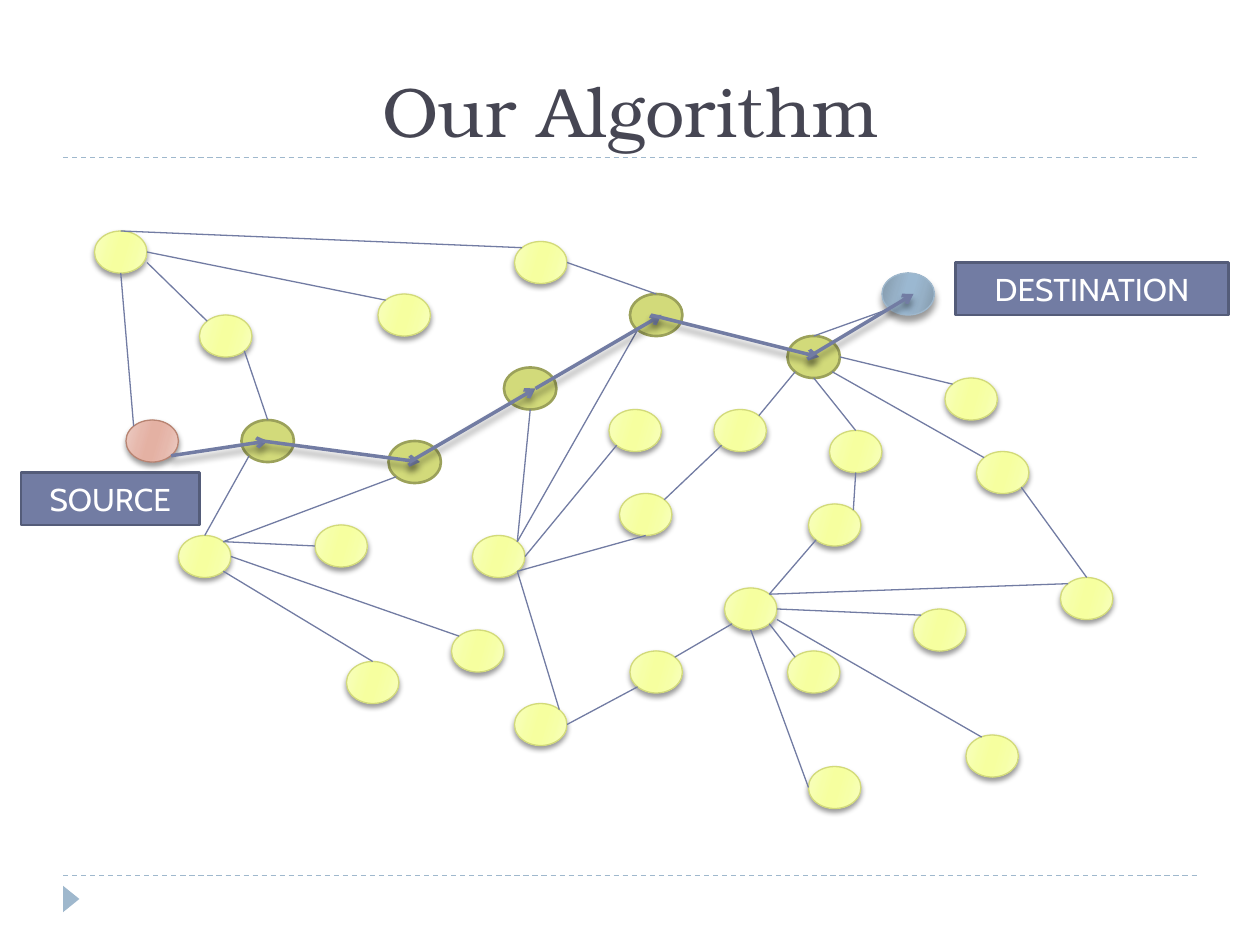
from lxml import etree
from pptx import Presentation
from pptx.dml.color import RGBColor
from pptx.enum.dml import MSO_LINE
from pptx.enum.shapes import MSO_CONNECTOR, MSO_SHAPE
from pptx.enum.text import MSO_ANCHOR, PP_ALIGN
from pptx.oxml import parse_xml
from pptx.oxml.ns import nsdecls, qn
from pptx.util import Inches, Pt

OVAL, BOX, TRIANGLE = MSO_SHAPE.OVAL, MSO_SHAPE.RECTANGLE, MSO_SHAPE.ISOSCELES_TRIANGLE
STRAIGHT, DASH = MSO_CONNECTOR.STRAIGHT, MSO_LINE.DASH
CENTER, MIDDLE, BOTTOM = PP_ALIGN.CENTER, MSO_ANCHOR.MIDDLE, MSO_ANCHOR.BOTTOM

COLORS = {"title": "464653", "rule": "9FB8CD", "edge": "727CA3", "label line": "545C79",
          "route": "D2DA7A", "route line": "9BA15A", "white": "FFFFFF"}
RGB = {name: RGBColor.from_string(value) for name, value in COLORS.items()}

# Gradient outer, middle and inner colour, outline, shadow blur and distance
NODE_STYLES = {
    "plain": ("F8FEC2", "F6FFA7", "F6FF9F", "D2DA7A", 3, 2),
    "source": ("ECCEC6", "E6B8AC", "E4B1A3", "B88472", 3, 2),
    "destination": ("8297A8", "96B0C6", "9BB8D1", "9FB8CD", 4, 3.4),
}

CELL = Inches(1) / 12  # the slide is a grid of 120 columns by 90 rows
NODE_W, NODE_H = 5, 4


def add_line(start, end, color, width):
    points = [int(value * CELL) for value in (*start, *end)]
    line = page.shapes.add_connector(STRAIGHT, *points)
    line.line.color.rgb = RGB[color]
    line.line.width = Pt(width)
    etree.SubElement(line._element.spPr, qn("a:effectLst"))
    return line


def add_shadow(shape, blur, distance):
    effects = shape._element.spPr.find(qn("a:effectLst"))
    effects.append(parse_xml(
        f'<a:outerShdw {nsdecls("a")} blurRad="{Pt(blur)}" dist="{Pt(distance)}" dir="5400000" '
        'rotWithShape="0"><a:srgbClr val="000000"><a:alpha val="40000"/></a:srgbClr></a:outerShdw>'))


deck = Presentation()
deck.slide_width, deck.slide_height = int(120 * CELL), int(90 * CELL)
page = deck.slides.add_slide(deck.slide_layouts[5])

# Title
title = page.shapes.title
title.left, title.top, title.width, title.height = [int(v * CELL) for v in (6, 3, 108, 12)]
title.text_frame.text = "Our Algorithm"
title.text_frame.vertical_anchor = BOTTOM
para = title.text_frame.paragraphs[0]
para.alignment = CENTER
para.font.name, para.font.size = "TeX Gyre Bonum", Pt(40)
para.font.color.rgb = RGB["title"]

# Dashed rules and footer marker
for row in (83.4, 15):
    add_line((6, row), (114, row), "rule", 0.75).line.dash_style = DASH
marker = page.shapes.add_shape(TRIANGLE, Inches(0.46), Inches(7.07), Inches(0.21), Inches(0.13))
marker.rotation = 90
marker.shadow.inherit = False
marker.fill.solid()
marker.fill.fore_color.rgb = RGB["rule"]
marker.line.fill.background()

# Network nodes: column and row of the top left corner; P1 to P5 lie on the route
NODES = {
    "A": (9, 22), "B": (19, 30), "C": (36, 28), "E": (49, 23), "F": (17, 51), "G": (30, 50),
    "H": (33, 63), "I": (43, 60), "J": (45, 51), "K": (58, 39), "L": (59, 47), "M": (68, 39),
    "N": (79, 41), "O": (77, 48), "Q": (69, 56), "R": (60, 62), "T": (49, 67), "U": (75, 62),
    "V": (77, 73), "W": (92, 70), "X": (87, 58), "Y": (101, 55), "Z": (93, 43), "AA": (90, 36),
    "Source": (12, 40), "Destination": (84, 26),
    "P1": (23, 40), "P2": (37, 42), "P3": (48, 35), "P4": (60, 28), "P5": (75, 32),
}
for name, (column, row) in NODES.items():
    node = page.shapes.add_shape(OVAL, *[int(v * CELL) for v in (column, row, NODE_W, NODE_H)])
    node.shadow.inherit = False
    if name.startswith("P"):
        node.fill.solid()
        node.fill.fore_color.rgb = RGB["route"]
        node.line.color.rgb = RGB["route line"]
        node.line.width = Pt(1.5)
        continue
    outer, middle, inner, outline, blur, distance = NODE_STYLES.get(
        name.lower(), NODE_STYLES["plain"])
    node.line.color.rgb = RGBColor.from_string(outline)
    node.line.width = Pt(0.75)
    stops = zip((0, 30, 45, 55, 73, 100), (outer, middle, inner, inner, middle, outer))
    stop_xml = "".join(f'<a:gs pos="{share * 1000}"><a:srgbClr val="{color}"/></a:gs>'
                       for share, color in stops)
    node._element.spPr.insert(2, parse_xml(
        f'<a:gradFill {nsdecls("a")} rotWithShape="1"><a:gsLst>{stop_xml}</a:gsLst>'
        '<a:lin ang="960000" scaled="0"/></a:gradFill>'))
    add_shadow(node, blur, distance)

# Edges: node and compass point at each end, as offsets from the node's centre
SITES = {"N": (0, -2), "S": (0, 2), "W": (-2.5, 0), "E": (2.5, 0),
         "NW": (-1.77, -1.41), "NE": (1.77, -1.41), "SW": (-1.77, 1.41), "SE": (1.77, 1.41),
         "ESE": (2.5, 1), "NNW": (-1, -1.8)}
EDGES = """
A.S Source.NW, A.ESE B.NW, A.E C.NW, A.N E.NW, B.SE P1.N, E.E P4.N,
F.N P1.SW, F.NE G.W, F.SE H.N, F.E I.NW, F.NE P2.SW, P2.NE P3.SW,
J.NE P3.S, J.E K.SW, J.SE L.S, J.SE T.NE, J.NE P4.SW, L.NE M.SW, T.E R.SW,
P5.N Destination.SW, P5.SW M.NE, P5.S N.N, P5.E AA.NW, P5.SE Z.NW, N.S O.NE, Z.SE Y.N,
Q.NE O.SW, Q.SW R.NE, Q.S V.W, Q.SE U.NW, Q.E X.NW, Q.ESE W.NNW, Q.NE Y.NW
"""
for edge in EDGES.split(","):
    ends = []
    for end in edge.split():
        name, site = end.split(".")
        (column, row), (across, down) = NODES[name], SITES[site]
        ends.append((column + NODE_W / 2 + across, row + NODE_H / 2 + down))
    add_line(*ends, "edge", 0.75)

# Labels
for text, column, row, width in (("SOURCE", 2, 45, 17), ("DESTINATION", 91, 25, 26)):
    label = page.shapes.add_shape(BOX, *[int(v * CELL) for v in (column, row, width, 5)])
    label.shadow.inherit = False
    label.fill.solid()
    label.fill.fore_color.rgb = RGB["edge"]
    label.line.color.rgb = RGB["label line"]
    label.line.width = Pt(1.5)
    label.text_frame.text = text
    label.text_frame.vertical_anchor = MIDDLE
    para = label.text_frame.paragraphs[0]
    para.alignment = CENTER
    para.font.name, para.font.size = "Cabin", Pt(18)
    para.font.color.rgb = RGB["white"]

# Route arrows from source to destination
ROUTE = [((16.3, 43.4), (25.5, 42)), ((25, 42), (40, 44)), ((39, 44), (51, 37)),
         ((51, 37), (63, 30)), ((62, 30), (78, 34)), ((77, 34), (87, 28))]
for start, end in ROUTE:
    arrow = add_line(start, end, "edge", 2)
    etree.SubElement(arrow.line._get_or_add_ln(), qn("a:tailEnd"), type="arrow")
    add_shadow(arrow, 4, 3.4)

deck.save("out.pptx")
